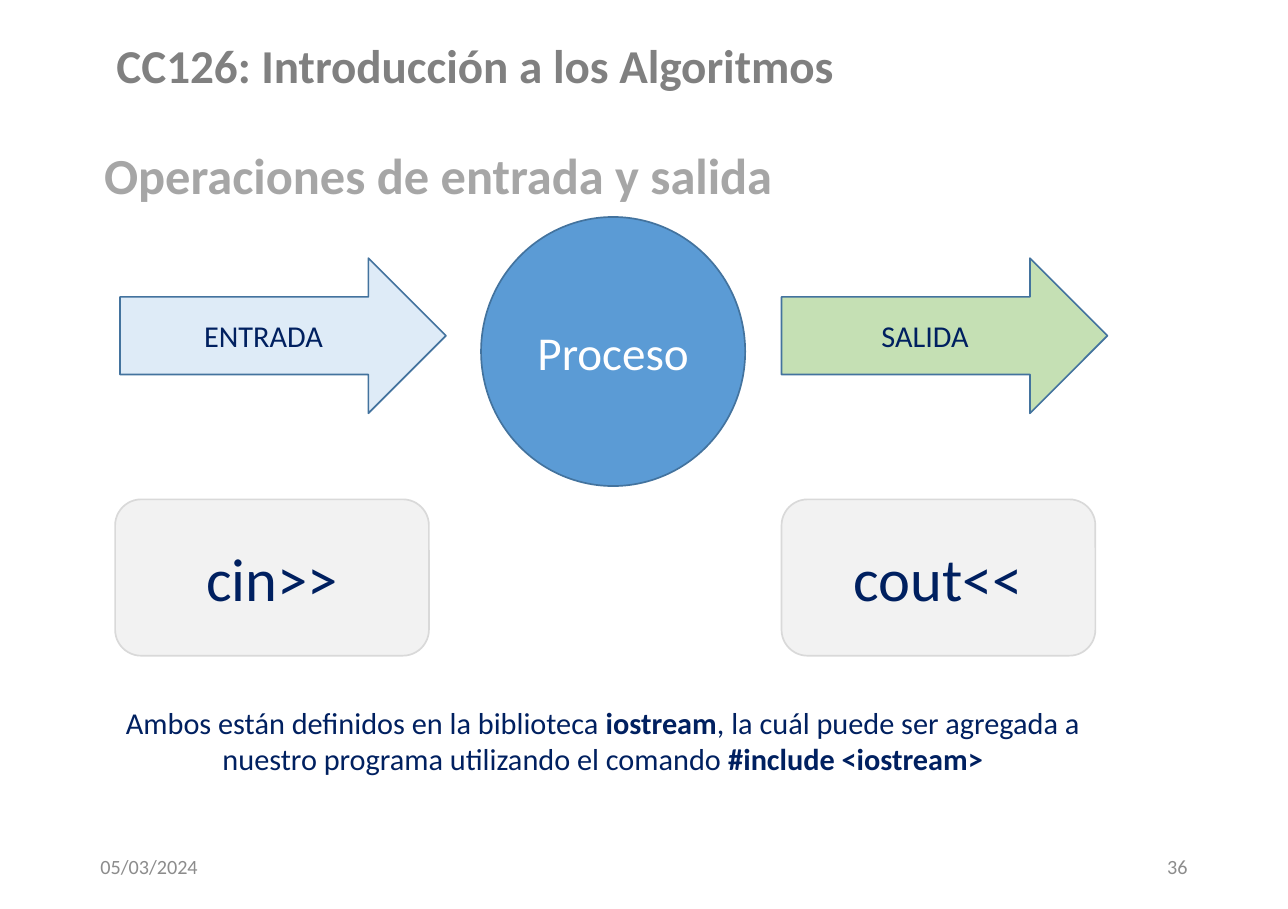
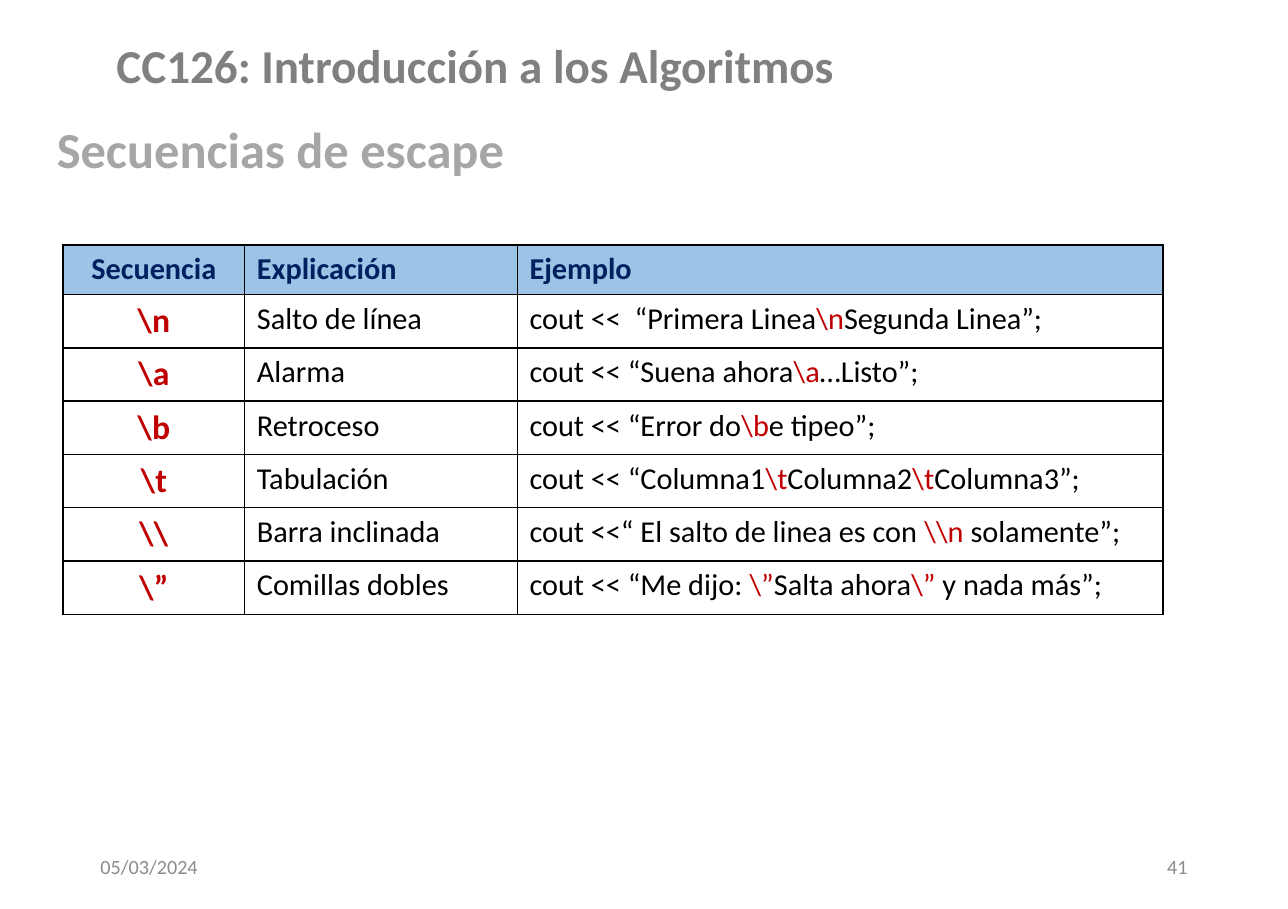
from dataclasses import dataclass

from lxml.etree import SubElement
from pptx import Presentation
from pptx.dml.color import RGBColor
from pptx.enum.shapes import MSO_SHAPE as Shape
from pptx.enum.text import MSO_ANCHOR as Anchor, PP_ALIGN as Align
from pptx.oxml.ns import qn
from pptx.util import Pt

PX = 9144


@dataclass(frozen=True)
class Theme:
    """Colours, font and type sizes shared by the slides."""
    font: str = "Calibri"
    course: str = "808080"
    heading: str = "A6A6A6"
    footer: str = "8C8C8C"
    navy: str = "002060"
    code: str = "C00000"
    black: str = "000000"
    white: str = "FFFFFF"
    outline: str = "43739E"
    input: str = "DEEBF7"
    output: str = "C5E0B4"
    process: str = "5B9BD5"
    command: str = "F2F2F2"
    command_line: str = "D9D9D9"
    header: str = "9DC3E6"
    heading_size: int = 30
    title_size: int = 28
    command_size: int = 36
    code_size: int = 20
    body_size: int = 18
    footer_size: int = 12


THEME = Theme()
COLUMNS = (150, 225, 533)
HEADER_HEIGHT, ROW_HEIGHT = 41, 44
HEADINGS = ("Secuencia", "Explicación", "Ejemplo")
ESCAPES = (
    (r"\n", "Salto de línea", r"cout <<  “Primera Linea|\n|Segunda Linea”;"),
    (r"\a", "Alarma", r"cout << “Suena ahora|\a|…Listo”;"),
    (r"\b", "Retroceso", r"cout << “Error do|\b|e tipeo”;"),
    (r"\t", "Tabulación", r"cout << “Columna1|\t|Columna2|\t|Columna3”;"),
    (r"\\", "Barra inclinada", r"cout <<“ El salto de linea es con |\\n |solamente”;"),
    (r"\”", "Comillas dobles", r"cout << “Me dijo: |\”|Salta ahora|\”| y nada más”;"),
)


def rgb(value):
    """Return the colour for a hex string."""
    return RGBColor.from_string(value)


def write(frame, text, size, color, bold=False, align=Align.LEFT, accent=None):
    """Write one paragraph; pieces between bars are accented, or bold without an accent."""
    paragraph = frame.paragraphs[0]
    paragraph.alignment = align
    font = paragraph.font
    font.name, font.size, font.bold = THEME.font, Pt(size), bold
    font.color.rgb = rgb(color)
    for index, piece in enumerate(text.split("|")):
        run = paragraph.add_run()
        run.text = piece
        if index % 2 and accent:
            run.font.color.rgb = rgb(accent)
        elif index % 2:
            run.font.bold = True
    return paragraph


def add_text(slide, box, text, size, color, anchor=Anchor.MIDDLE, **style):
    """Add a wrapped text box and return its paragraph."""
    frame = slide.shapes.add_textbox(*(PX * side for side in box)).text_frame
    frame.word_wrap = True
    frame.vertical_anchor = anchor
    return write(frame, text, size, color, **style)


def indent(paragraph, px):
    """Set the left indent of a paragraph."""
    properties = paragraph._p.get_or_add_pPr()
    properties.set("marL", str(PX * px))
    properties.set("indent", "0")


def add_figure(slide, kind, box, text, size, color, fill, line):
    """Add a filled shape with centred text."""
    figure = slide.shapes.add_shape(kind, *(PX * side for side in box))
    figure.shadow.inherit = False
    figure.fill.solid()
    figure.fill.fore_color.rgb = rgb(fill)
    figure.line.color.rgb = rgb(line)
    figure.line.width = Pt(1)
    figure.text_frame.vertical_anchor = Anchor.MIDDLE
    write(figure.text_frame, text, size, color, align=Align.CENTER)


def add_course_slide(deck, heading, left, top, number):
    """Add a slide with the course title, its heading and the footer."""
    slide = deck.slides.add_slide(deck.slide_layouts[6])
    add_text(slide, (56, 11, 672, 85), "CC126: Introducción a los Algoritmos",
             THEME.title_size, THEME.course, bold=True, align=Align.CENTER)
    topic = add_text(slide, (left, top, 665, 84), heading, THEME.heading_size,
                     THEME.heading, anchor=Anchor.TOP, bold=True)
    topic.line_spacing = 0.9
    topic.space_before = Pt(10)
    indent(topic, 7)
    for x, text, align in ((73, "05/03/2024", Align.LEFT), (751, number, Align.RIGHT)):
        add_text(slide, (x, 695, 239, 40), text, THEME.footer_size, THEME.footer, align=align)
    return slide


def add_flow(slide, left, top):
    """Draw input, process and output with the command under each end."""
    ends = ((4, 0, "ENTRADA", THEME.input, "cin>>"),
            (550, 550, "SALIDA", THEME.output, "cout<<"))
    for arrow_x, command_x, label, fill, command in ends:
        add_figure(slide, Shape.RIGHT_ARROW, (left + arrow_x, top + 34, 269, 128),
                   label, THEME.body_size, THEME.navy, fill, THEME.outline)
        add_figure(slide, Shape.ROUNDED_RECTANGLE, (left + command_x, top + 233, 259, 129),
                   command, THEME.command_size, THEME.navy, THEME.command, THEME.command_line)
    add_figure(slide, Shape.OVAL, (left + 302, top, 218, 222), "Proceso",
               THEME.title_size, THEME.white, THEME.process, THEME.outline)


def add_library_note(slide, box):
    """Add the note on the library that defines both commands."""
    note = add_text(slide, box, "Ambos están definidos en la biblioteca |iostream|, la cuál puede "
                    "ser agregada a nuestro programa utilizando el comando |#include <iostream>",
                    THEME.body_size, THEME.navy, anchor=Anchor.TOP, align=Align.CENTER)
    note.space_before = Pt(3)
    indent(note, 12)


def style_cell(cell, fill=None):
    """Give a cell thin black borders and an optional fill."""
    properties = cell._tc.get_or_add_tcPr()
    for side in ("a:lnL", "a:lnR", "a:lnT", "a:lnB"):
        border = SubElement(properties, qn(side), w=str(Pt(1)))
        SubElement(SubElement(border, qn("a:solidFill")), qn("a:srgbClr"), val=THEME.black)
    if fill:
        cell.fill.solid()
        cell.fill.fore_color.rgb = rgb(fill)
    else:
        cell.fill.background()


def add_escape_table(slide, left, top):
    """Build the table of escape sequences."""
    height = HEADER_HEIGHT + ROW_HEIGHT * len(ESCAPES)
    table = slide.shapes.add_table(len(ESCAPES) + 1, len(COLUMNS), PX * left, PX * top,
                                   PX * sum(COLUMNS), PX * height).table
    table.first_row = table.horz_banding = False
    for column, width in zip(table.columns, COLUMNS):
        column.width = PX * width
    for r, texts in enumerate((HEADINGS, *ESCAPES)):
        is_header = r == 0
        table.rows[r].height = PX * (HEADER_HEIGHT if is_header else ROW_HEIGHT)
        for c, text in enumerate(texts):
            cell = table.cell(r, c)
            style_cell(cell, THEME.header if is_header else None)
            is_code = c == 0 and not is_header
            color = THEME.navy if is_header else THEME.code if is_code else THEME.black
            write(cell.text_frame, text, THEME.code_size if is_code else THEME.body_size,
                  color, bold=is_header or is_code,
                  align=Align.LEFT if c else Align.CENTER, accent=THEME.code)


def main():
    """Build and save the two slides."""
    deck = Presentation()
    deck.slide_width, deck.slide_height = PX * 1063, PX * 750
    flow = add_course_slide(deck, "Operaciones de entrada y salida", 69, 120, "36")
    add_flow(flow, 95, 179)
    add_library_note(flow, (69, 576, 845, 71))
    escapes = add_course_slide(deck, "Secuencias de escape", 30, 98, "41")
    add_escape_table(escapes, 52, 202)
    deck.save("out.pptx")


if __name__ == "__main__":
    main()
